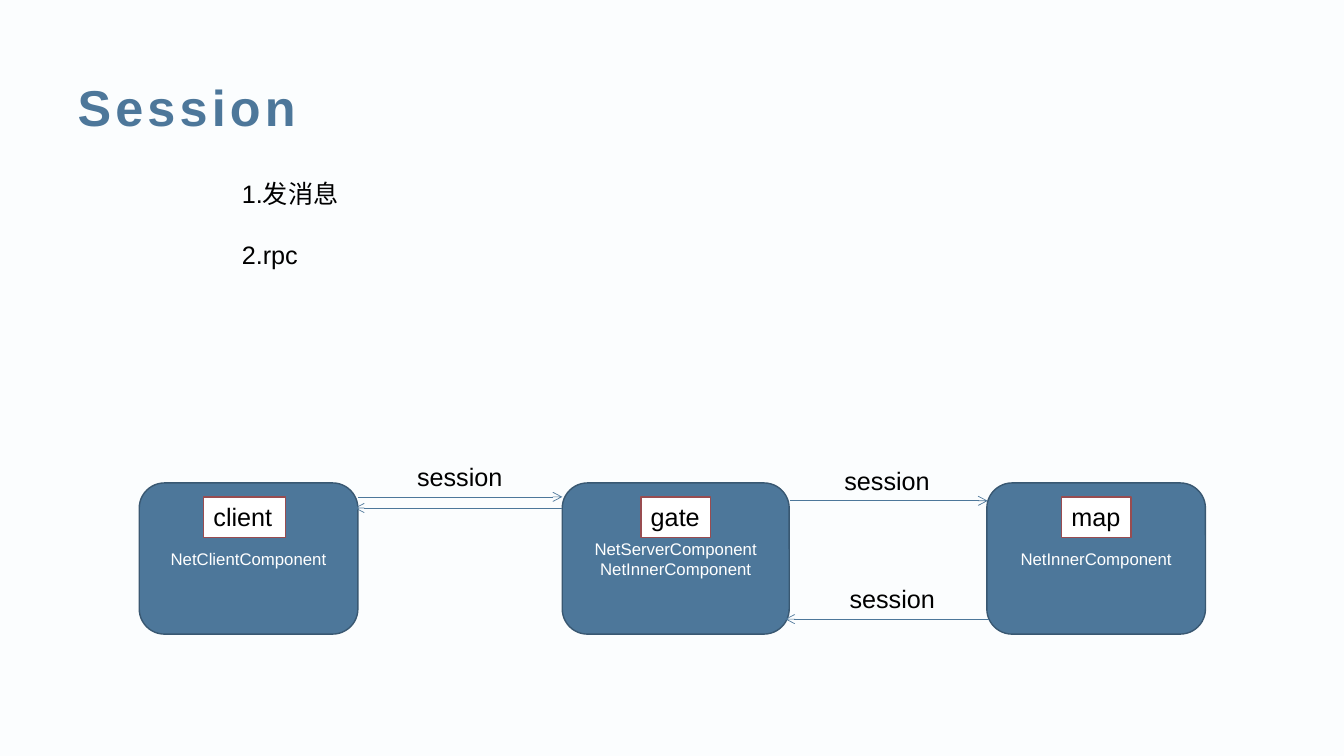
from pptx import Presentation
from pptx.dml.color import RGBColor
from pptx.enum.shapes import MSO_CONNECTOR, MSO_SHAPE
from pptx.enum.text import MSO_ANCHOR, MSO_AUTO_SIZE, PP_ALIGN
from pptx.oxml.ns import qn
from pptx.util import Cm, Pt
from lxml.etree import SubElement

COLORS = {
    "background": "FBFDFE",
    "accent": "4D779A",
    "node_edge": "395872",
    "tag_edge": "994C50",
    "white": "FFFFFF",
    "black": "000000",
}
NODE_TOP, NODE_HEIGHT = 12.17, 3.81
TAG_TOP, TAG_HEIGHT = 12.52, 1.02
LABEL_WIDTH = 2.67

NODES = [
    (3.51, 5.51, ["NetClientComponent"]),
    (14.17, 5.72, ["NetServerComponent", "NetInnerComponent"]),
    (24.87, 5.51, ["NetInnerComponent"]),
]
TAGS = [("client", 5.13, 2.06), ("gate", 16.15, 1.75), ("map", 26.75, 1.75)]
ARROWS = [
    (9.02, 14.17, 12.52),
    (19.91, 24.89, 12.62),
    (24.92, 19.79, 15.6),
    (14.17, 8.94, 12.8),
]
SESSION_LABELS = [(10.26, 11.51), (21.03, 11.61), (21.16, 14.58)]


def color(name):
    """Return the named palette colour."""
    return RGBColor.from_string(COLORS[name])


def place(shape, left, top, width, height):
    """Move and size a placeholder in centimetres."""
    shape.left, shape.top = Cm(left), Cm(top)
    shape.width, shape.height = Cm(width), Cm(height)


def write(frame, lines, size, ink="black", align=PP_ALIGN.LEFT, bold=False):
    """Fill a text frame with one formatted paragraph per line."""
    frame.text = "\n".join(lines)
    for paragraph in frame.paragraphs:
        paragraph.alignment = align
        font = paragraph.font
        font.name, font.size, font.bold = "Arial", Pt(size), bold
        font.color.rgb = color(ink)


def add_title(slide, text):
    """Write the letter-spaced heading in the title placeholder."""
    title = slide.shapes.title
    place(title, 1.7, 1.7, 31.19, 1.96)
    write(title.text_frame, [text], 36, "accent", bold=True)
    title.text_frame.vertical_anchor = MSO_ANCHOR.MIDDLE
    run = title.text_frame.paragraphs[0].runs[0]
    run.font._element.set("spc", "300")


def add_uses(slide, lines):
    """Write the numbered uses in the body placeholder."""
    body = slide.placeholders[1]
    place(body, 5.84, 4.37, 16.48, 2.57)
    frame = body.text_frame
    write(frame, lines, 18)
    frame.auto_size = MSO_AUTO_SIZE.NONE
    for index, paragraph in enumerate(frame.paragraphs):
        paragraph.space_before = Pt(22 if index else 0)
        properties = paragraph._p.get_or_add_pPr()
        properties.set("marL", "0")
        properties.set("indent", "0")
        bullet = SubElement(properties, qn("a:buNone"))
        properties.find(qn("a:defRPr")).addprevious(bullet)


def add_box(slide, preset, bounds, fill, edge):
    """Add a filled, outlined shape and return it."""
    box = slide.shapes.add_shape(preset, *map(Cm, bounds))
    box.shadow.inherit = False
    box.fill.solid()
    box.fill.fore_color.rgb = color(fill)
    box.line.color.rgb = color(edge)
    box.line.width = Pt(1)
    return box


def add_node(slide, left, width, components):
    """Add a process node listing its network components."""
    node = add_box(slide, MSO_SHAPE.ROUNDED_RECTANGLE,
                   (left, NODE_TOP, width, NODE_HEIGHT), "accent", "node_edge")
    write(node.text_frame, components, 12, "white", PP_ALIGN.CENTER)
    node.text_frame.vertical_anchor = MSO_ANCHOR.MIDDLE


def add_tag(slide, name, left, width):
    """Add the white name tag of a node."""
    tag = add_box(slide, MSO_SHAPE.RECTANGLE,
                  (left, TAG_TOP, width, TAG_HEIGHT), "white", "tag_edge")
    write(tag.text_frame, [name], 18)
    tag.text_frame.vertical_anchor = MSO_ANCHOR.TOP
    tag.text_frame.word_wrap = False


def add_arrow(slide, start, end, level):
    """Add a thin horizontal arrow between two nodes."""
    arrow = slide.shapes.add_connector(
        MSO_CONNECTOR.STRAIGHT, Cm(start), Cm(level), Cm(end), Cm(level))
    arrow.line.color.rgb = color("accent")
    arrow.line.width = Pt(0.5)
    SubElement(arrow.line._get_or_add_ln(), qn("a:tailEnd"), type="arrow")
    SubElement(arrow._element.spPr, qn("a:effectLst"))


def add_session_label(slide, left, top):
    """Add a session caption above an arrow."""
    label = slide.shapes.add_textbox(
        Cm(left), Cm(top), Cm(LABEL_WIDTH), Cm(TAG_HEIGHT))
    label.text_frame.word_wrap = False
    write(label.text_frame, ["session"], 18)


def main():
    """Build and save the Session slide."""
    deck = Presentation()
    deck.slide_width, deck.slide_height = Cm(33.87), Cm(19.05)
    slide = deck.slides.add_slide(deck.slide_layouts[1])
    slide.background.fill.solid()
    slide.background.fill.fore_color.rgb = color("background")
    add_title(slide, "Session")
    add_uses(slide, ["1.发消息", "2.rpc"])
    for node in NODES:
        add_node(slide, *node)
    for arrow in ARROWS:
        add_arrow(slide, *arrow)
    for label in SESSION_LABELS:
        add_session_label(slide, *label)
    for tag in TAGS:
        add_tag(slide, *tag)
    deck.save("out.pptx")


if __name__ == "__main__":
    main()
